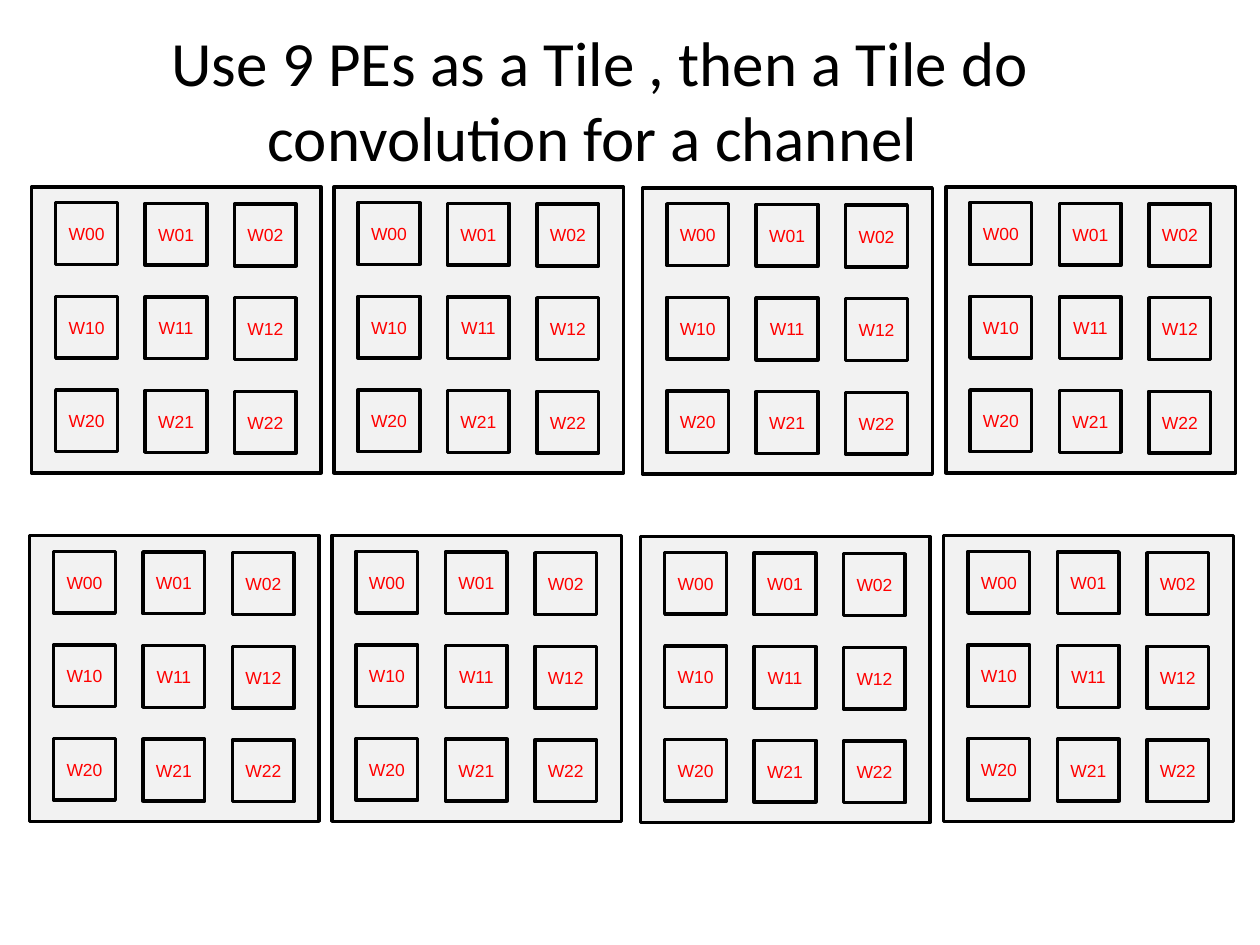
from pptx import Presentation
from pptx.dml.color import RGBColor
from pptx.enum import shapes, text
from pptx.util import Pt

# Content
TITLE = "Use 9 PEs as a Tile , then a Tile do convolution for a channel "
WEIGHTS = [
    ["W00", "W01", "W02"],
    ["W10", "W11", "W12"],
    ["W20", "W21", "W22"],
]

# Layout in points: (left, drop) of each tile column, (top, shift) of each row
COLS = [(18, 0), (190.8, 0), (367.2, 0.6), (540.5, 0)]
ROWS = [(106.8, 0), (306, -1.2)]
TILE_W, TILE_H = 165.6, 163.4
PE = 35.3
PAD_X, PAD_Y = 13.8, 9
STEP_X, STEP_Y = 51.1, 53.5
SKEW = 0.4  # each PE sits a little lower than its left neighbour


def color(code):
    return RGBColor.from_string(code)


def write(shape, words, size=10, font="Arial", ink="FF0000", wrap=False):
    frame = shape.text_frame
    frame.word_wrap = wrap
    frame.vertical_anchor = text.MSO_ANCHOR.MIDDLE
    par = frame.paragraphs[0]
    par.alignment = text.PP_ALIGN.CENTER
    run = par.add_run()
    run.text = words
    run.font.size = Pt(size)
    run.font.name = font
    run.font.color.rgb = color(ink)


def box(parent, x, y, w, h, fill=None):
    shape = parent.shapes.add_shape(
        shapes.MSO_SHAPE.RECTANGLE, Pt(x), Pt(y), Pt(w), Pt(h))
    shape.shadow.inherit = False
    if fill:
        shape.fill.solid()
        shape.fill.fore_color.rgb = color(fill)
    else:
        shape.fill.background()
    shape.line.color.rgb = color("000000")
    shape.line.width = Pt(2)
    return shape


def tile(slide, x, y):
    group = slide.shapes.add_group_shape()
    box(group, x, y, TILE_W, TILE_H, fill="F2F2F2")
    for r, names in enumerate(WEIGHTS):
        for c, name in enumerate(names):
            pe = box(group, x + PAD_X + c * STEP_X,
                     y + PAD_Y + r * STEP_Y + c * SKEW, PE, PE)
            write(pe, name)


def main():
    deck = Presentation()
    deck.slide_width, deck.slide_height = Pt(720), Pt(540)
    slide = deck.slides.add_slide(deck.slide_layouts[6])

    # Title
    head = slide.shapes.add_textbox(Pt(18.7), Pt(11.5), Pt(648), Pt(90))
    write(head, TITLE, size=36, font="Calibri", ink="000000", wrap=True)

    # Two rows of four tiles
    for top, shift in ROWS:
        for left, drop in COLS:
            tile(slide, left + shift, top + drop)

    deck.save("out.pptx")


if __name__ == "__main__":
    main()
